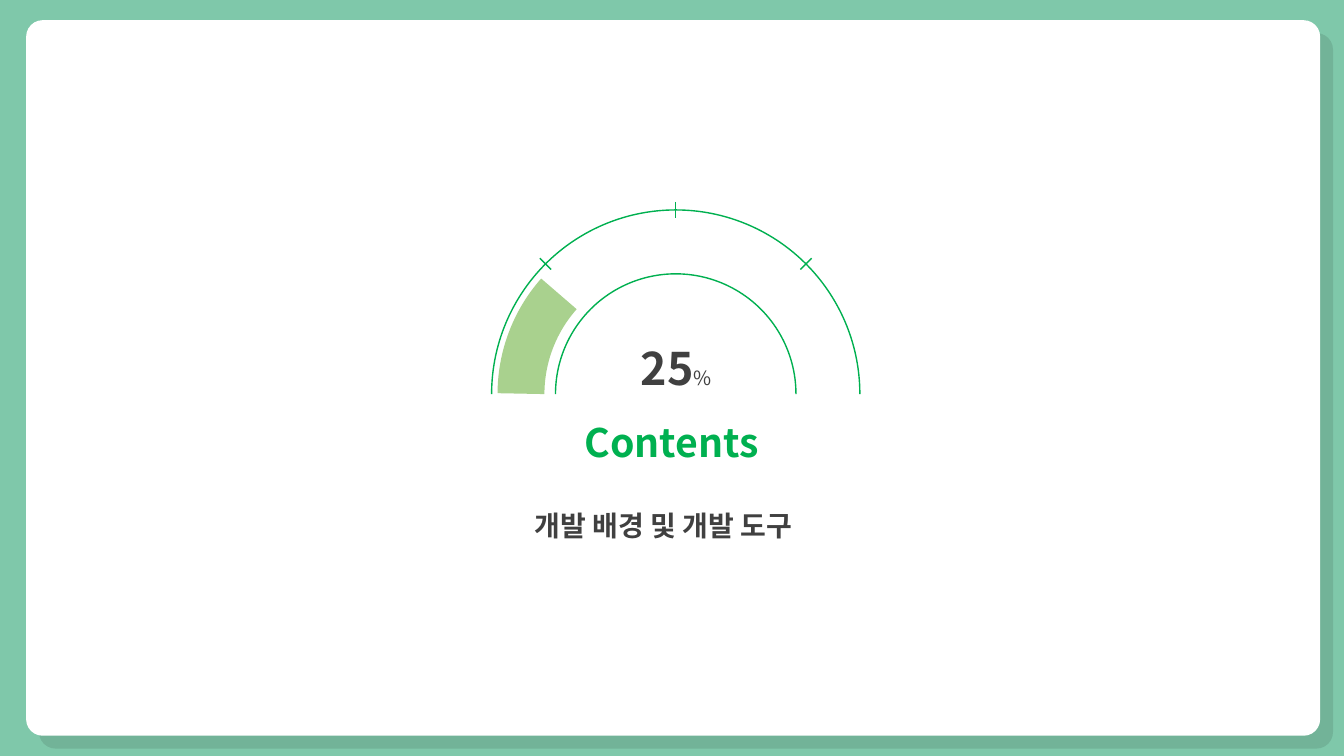
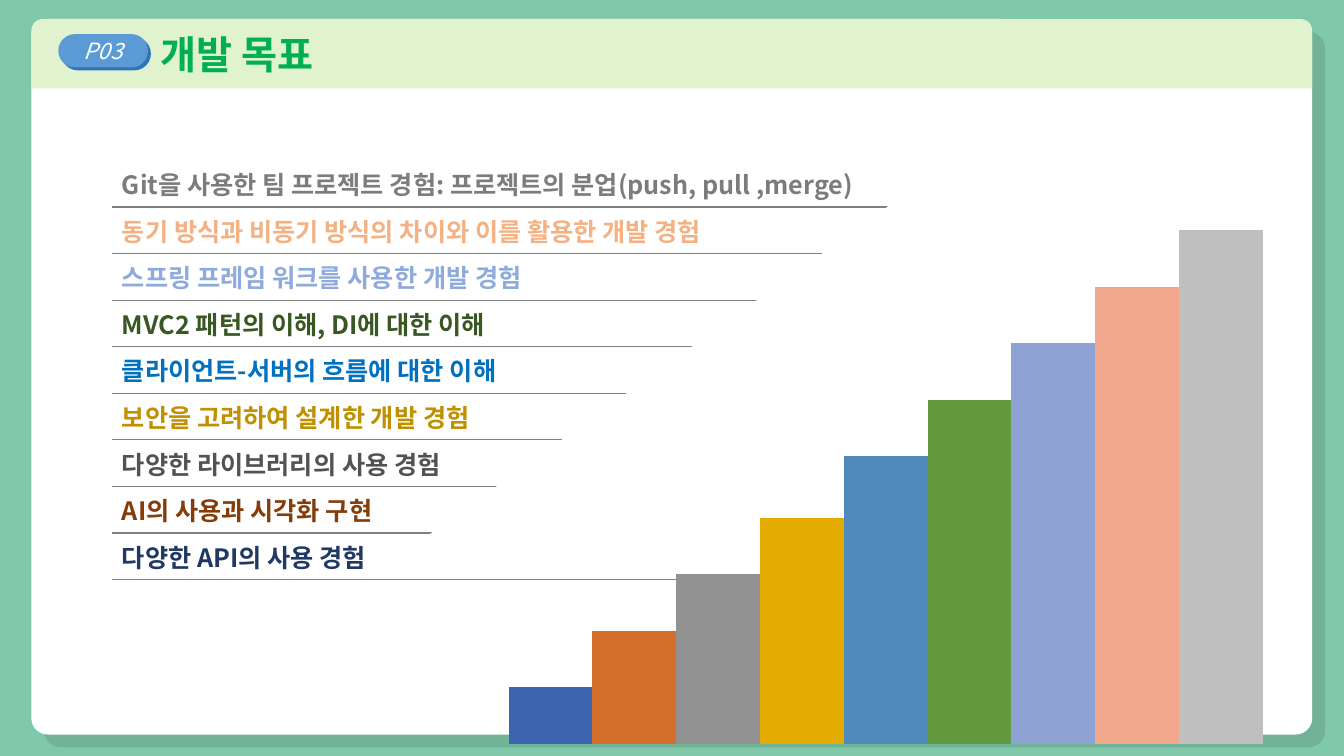
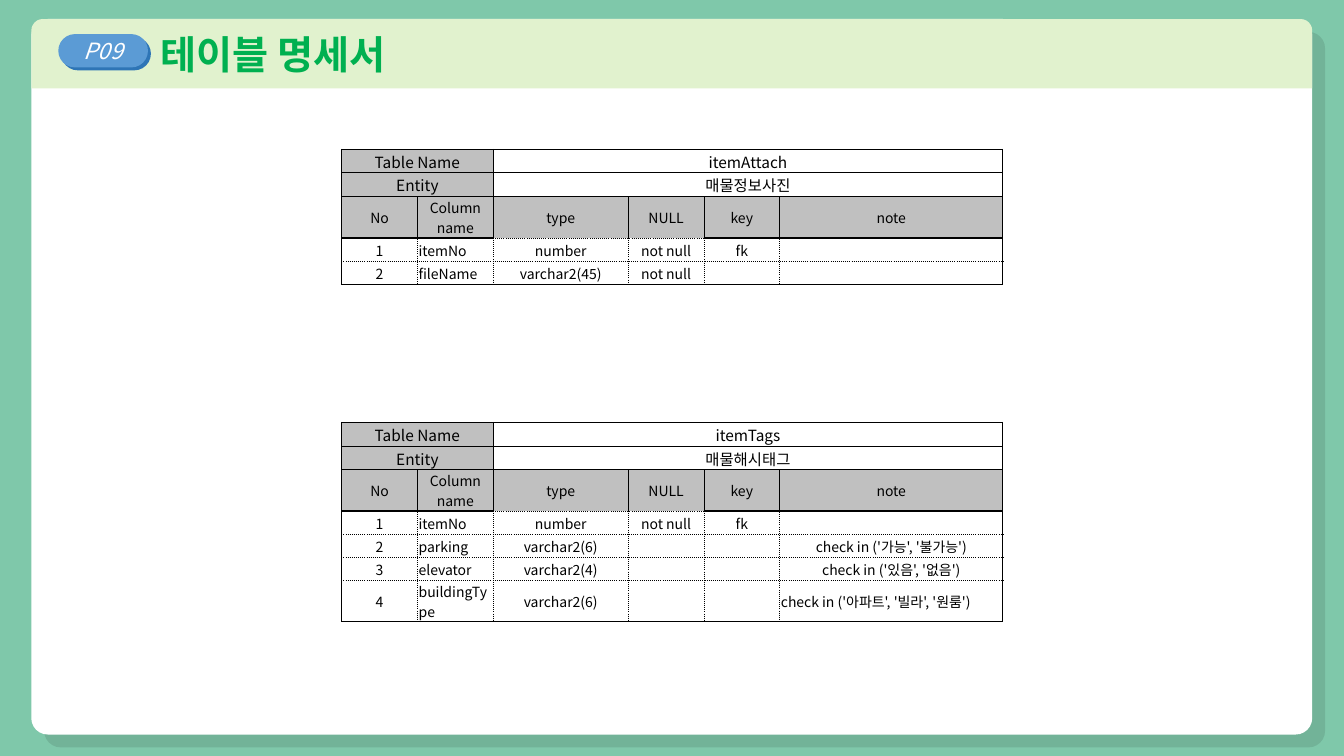
import math

from lxml import etree
from pptx import Presentation
from pptx import util as u
from pptx.chart.data import CategoryChartData
from pptx.dml.color import RGBColor
from pptx.enum import chart as ch, shapes, text
from pptx.oxml.ns import qn

FONT = "Noto Sans CJK KR"
COLORS = {
    "background": "7FC8AA", "card": "FFFFFF", "band": "E1F2CE",
    "title": "00B050", "body": "404040", "black": "000000",
    "pill": "5B9BD5", "pill_shadow": "2E75B6",
    "gauge": "00B050", "gauge_fill": "A9D18E",
    "rule": "808080", "header": "C0C0C0",
}
GOALS = [
    ("Git을 사용한 팀 프로젝트 경험: 프로젝트의 분업(push, pull ,merge)", "7C7C7C"),
    ("동기 방식과 비동기 방식의 차이와 이를 활용한 개발 경험", "F4B183"),
    ("스프링 프레임 워크를 사용한 개발 경험", "8FAADC"),
    ("MVC2 패턴의 이해, DI에 대한 이해", "385723"),
    ("클라이언트-서버의 흐름에 대한 이해", "0070C0"),
    ("보안을 고려하여 설계한 개발 경험", "BF9000"),
    ("다양한 라이브러리의 사용 경험", "525252"),
    ("AI의 사용과 시각화 구현", "843C0B"),
    ("다양한 API의 사용 경험", "203864"),
]
STEPS = [
    (11, "3D65AF"), (22, "D36F2B"), (33, "929292"),
    (44, "E3AB00"), (56, "508ABD"), (67, "639A3F"),
    (78, "8FA2D4"), (89, "F1A78C"), (100, "BFBFBF"),
]
COLUMN_HEADS = ["No", "Column name", "type", "NULL", "key", "note"]
COLUMN_WIDTHS = [1.91, 1.91, 3.4, 1.91, 1.91, 5.62]
ATTACH_ROWS = [
    ["1", "itemNo", "number", "not null", "fk", ""],
    ["2", "fileName", "varchar2(45)", "not null", "", ""],
]
TAG_ROWS = [
    ["1", "itemNo", "number", "not null", "fk", ""],
    ["2", "parking", "varchar2(6)", "", "", "check in ('가능', '불가능')"],
    ["3", "elevator", "varchar2(4)", "", "", "check in ('있음', '없음')"],
    ["4", "buildingType", "varchar2(6)", "", "", "check in ('아파트', '빌라', '원룸')"],
]
CARD = (0.79, 0.48, 32.28, 18.03)
BAND = (0.79, 0.48, 32.28, 1.75)
GAUGE_X, GAUGE_Y, GAUGE_R = 17.03, 9.93, 4.64
NO_STYLE_TABLE = "{2D5ABB26-0587-4C30-8999-92F81FD0307C}"
SOLID, DOTTED, THICK = (0.5, "solid"), (0.5, "sysDot"), (2, "solid")
LEFT, CENTER = text.PP_ALIGN.LEFT, text.PP_ALIGN.CENTER


# Shared helpers

def rgb(color):
    return RGBColor.from_string(COLORS.get(color, color))


def cm(*lengths):
    return [u.Cm(length) for length in lengths]


def set_font(font, size, color, bold=False, italic=False):
    font.size, font.bold, font.italic = u.Pt(size), bold, italic
    font.color.rgb = rgb(color)
    font.name = FONT
    etree.SubElement(font._rPr, qn("a:ea")).set("typeface", FONT)


def add_color(parent, color):
    fill = etree.SubElement(parent, qn("a:srgbClr"))
    fill.set("val", COLORS.get(color, color))
    return fill


def add_shape(slide, kind, box, fill=None, line=None, width=1, adjust=()):
    shape = slide.shapes.add_shape(kind, *cm(*box))
    shape.shadow.inherit = False
    for index, value in enumerate(adjust):
        shape.adjustments[index] = value
    if fill:
        shape.fill.solid()
        shape.fill.fore_color.rgb = rgb(fill)
    else:
        shape.fill.background()
    if line:
        shape.line.color.rgb = rgb(line)
        shape.line.width = u.Pt(width)
    else:
        shape.line.fill.background()
    return shape


def add_hard_shadow(shape, color, opacity, distance):
    effects = shape.element.spPr.find(qn("a:effectLst"))
    shadow = etree.SubElement(effects, qn("a:outerShdw"), blurRad="0",
                              dist=str(u.Pt(distance)), dir="2700000",
                              algn="tl", rotWithShape="0")
    etree.SubElement(add_color(shadow, color), qn("a:alpha"), val=str(opacity * 1000))


def add_card(slide, box):
    card = add_shape(slide, shapes.MSO_SHAPE.ROUNDED_RECTANGLE, box, "card",
                     adjust=[0.023])
    add_hard_shadow(card, "black", 10, 13)


def fill_placeholder(slide, holder, words, box, size, color, align, indent=0.25):
    """Place a text placeholder in front of the shapes drawn so far."""
    holder.left, holder.top, holder.width, holder.height = cm(*box)
    slide.shapes.element.append(holder.element)
    frame = holder.text_frame
    frame.text = words
    frame.auto_size = text.MSO_AUTO_SIZE.NONE
    frame.vertical_anchor = text.MSO_ANCHOR.MIDDLE
    frame.margin_left = u.Cm(indent)
    line = frame.paragraphs[0]
    line.alignment, line.space_before = align, u.Pt(0)
    set_font(line.font, size, color, bold=True)


def add_content_slide(prs, title, page):
    slide = prs.slides.add_slide(prs.slide_layouts[5])
    add_card(slide, CARD)
    add_shape(slide, shapes.MSO_SHAPE.ROUND_2_SAME_RECTANGLE, BAND, "band")
    fill_placeholder(slide, slide.shapes.title, title, BAND, 28, "title", LEFT, 3.25)
    # Page pill
    pill = add_shape(slide, shapes.MSO_SHAPE.ROUNDED_RECTANGLE,
                     (1.47, 0.86, 2.26, 0.84), "pill", adjust=[0.5])
    add_hard_shadow(pill, "pill_shadow", 100, 3)
    pill.text_frame.text = page
    pill.text_frame.vertical_anchor = text.MSO_ANCHOR.MIDDLE
    number = pill.text_frame.paragraphs[0]
    number.alignment = CENTER
    set_font(number.font, 16, "card", italic=True)
    return slide


# Gauge

def add_half_ring(slide, radius):
    ring = add_shape(slide, shapes.MSO_SHAPE.RIGHT_BRACKET,
                     (GAUGE_X - radius / 2, GAUGE_Y - 1.5 * radius, radius, 2 * radius),
                     line="gauge", adjust=[1.047])
    ring.rotation = 270


def add_tick(slide, degrees):
    across, up = math.cos(math.radians(degrees)), math.sin(math.radians(degrees))
    ends = []
    for radius in (GAUGE_R + 0.2, GAUGE_R - 0.2):
        ends += cm(GAUGE_X + radius * across, GAUGE_Y - radius * up)
    tick = slide.shapes.add_connector(shapes.MSO_CONNECTOR.STRAIGHT, *ends)
    tick.line.color.rgb = rgb("gauge")
    tick.line.width = u.Pt(1)
    etree.SubElement(tick.element.spPr, qn("a:effectLst"))


def add_percentage(slide, value):
    box = slide.shapes.add_textbox(*cm(15.32, 8.46, 3.45, 1.63))
    frame = box.text_frame
    frame.word_wrap = True
    frame.vertical_anchor = text.MSO_ANCHOR.MIDDLE
    line = frame.paragraphs[0]
    line.alignment = CENTER
    for words, size, bold in ((value, 32, True), ("%", 14, False)):
        run = line.add_run()
        run.text = words
        set_font(run.font, size, "body", bold)


# Tables

def add_plain_table(slide, left, top, widths, heights):
    frame = slide.shapes.add_table(len(heights), len(widths),
                                   *cm(left, top, sum(widths), sum(heights)))
    for style in frame.element.iter(qn("a:tableStyleId")):
        style.text = NO_STYLE_TABLE
    table = frame.table
    table.first_row = table.horz_banding = False
    for column, width in zip(table.columns, widths):
        column.width = u.Cm(width)
    for row, height in zip(table.rows, heights):
        row.height = u.Cm(height)
    return table


def fill_cell(cell, words, size, color, bold=False, align=LEFT, fill=None):
    cell.text = words
    line = cell.text_frame.paragraphs[0]
    line.alignment = align
    set_font(line.font, size, color, bold)
    if not words:
        etree.SubElement(line._p, qn("a:endParaRPr"), sz=str(size * 100))
    if fill:
        cell.fill.solid()
        cell.fill.fore_color.rgb = rgb(fill)
    else:
        cell.fill.background()


def set_borders(cell, color, **sides):
    """Draw the given sides, named L, R, T and B, as (width, dash)."""
    properties = cell._tc.get_or_add_tcPr()
    present = [side for side in "LRTB" if side in sides]
    for position, side in enumerate(present):
        width, dash = sides[side]
        line = etree.Element(qn("a:ln" + side), w=str(u.Pt(width)))
        add_color(etree.SubElement(line, qn("a:solidFill")), color)
        etree.SubElement(line, qn("a:prstDash"), val=dash)
        properties.insert(position, line)


def spec_borders(row, column, last_row):
    under_head = DOTTED if column in (2, 3) else THICK
    if row < 3:
        return dict(L=SOLID, R=SOLID, T=SOLID, B=under_head if row == 2 else SOLID)
    return dict(L=DOTTED if column else SOLID,
                R=SOLID if column == len(COLUMN_HEADS) - 1 else DOTTED,
                T=under_head if row == 3 else DOTTED,
                B=SOLID if row == last_row else DOTTED)


def add_spec_table(slide, top, name, entity, columns):
    rows = [["Table Name", "", name, "", "", ""],
            ["Entity", "", entity, "", "", ""], COLUMN_HEADS] + columns
    heights = [0.58, 0.58, 1.04] + [0.58] * len(columns)
    table = add_plain_table(slide, 8.61, top, COLUMN_WIDTHS, heights)
    for r, row in enumerate(rows):
        for c, words in enumerate(row):
            cell = table.cell(r, c)
            shaded = r == 2 or (r < 2 and c < 2)
            fill_cell(cell, words, 11 if r < 2 else 10, "black",
                      align=LEFT if r > 2 and c == 1 else CENTER,
                      fill="header" if shaded else None)
            cell.vertical_anchor = text.MSO_ANCHOR.MIDDLE
            cell.margin_left = cell.margin_right = cell.margin_top = u.Cm(0.03)
            cell.margin_bottom = 0
            set_borders(cell, "black", **spec_borders(r, c, len(rows) - 1))
    for r in (0, 1):
        table.cell(r, 0).merge(table.cell(r, 1))
        table.cell(r, 2).merge(table.cell(r, 5))
    return table


def add_goal_list(slide):
    table = add_plain_table(slide, 2.82, 4.04, [22.58], [1.04] * len(GOALS))
    for r, (goal, color) in enumerate(GOALS):
        cell = table.cell(r, 0)
        fill_cell(cell, goal, 18, color, bold=True)
        set_borders(cell, "rule", B=(1, "solid"))


# Chart

def add_step_chart(slide):
    data = CategoryChartData()
    data.categories = ["1"]
    for number, (value, _) in enumerate(STEPS, 1):
        data.add_series(f"Series {number}", [value])
    chart = slide.shapes.add_chart(ch.XL_CHART_TYPE.COLUMN_CLUSTERED,
                                   *cm(10.77, 3.99, 23.1, 15.06), data).chart
    chart.has_legend = chart.has_title = False
    chart.font.size, chart.font.name = u.Pt(18), FONT
    chart.font.color.rgb = rgb("black")
    chart.value_axis.minimum_scale, chart.value_axis.maximum_scale = 0, 100
    chart.value_axis.has_major_gridlines = False
    chart.value_axis.visible = chart.category_axis.visible = False
    plot = chart.plots[0]
    plot.vary_by_categories = False
    plot.gap_width, plot.overlap = 150, 0
    for series, (_, color) in zip(plot.series, STEPS):
        series.format.fill.solid()
        series.format.fill.fore_color.rgb = rgb(color)
    # Fixed plot area
    area = chart.element.chart.plotArea
    for layout in area.findall(qn("c:layout")):
        area.remove(layout)
    layout = etree.Element(qn("c:layout"))
    area.insert(0, layout)
    manual = etree.SubElement(layout, qn("c:manualLayout"))
    for key, value in (("layoutTarget", "inner"), ("xMode", "edge"), ("yMode", "edge"),
                       ("x", "0.02"), ("y", "0.12"), ("w", "0.96"), ("h", "0.86")):
        etree.SubElement(manual, qn("c:" + key), val=value)


# Slides

def build_contents(prs):
    slide = prs.slides.add_slide(prs.slide_layouts[0])
    add_card(slide, (0.66, 0.51, 32.61, 18.03))
    fill_placeholder(slide, slide.shapes.title, "Contents",
                     (11.35, 10.41, 11.15, 1.45), 28, "title", CENTER)
    fill_placeholder(slide, slide.placeholders[1], "개발 배경 및 개발 도구",
                     (11.96, 12.45, 9.53, 1.55), 20, "body", LEFT, 1.52)
    add_percentage(slide, "25")
    for radius in (GAUGE_R, 3.03):
        add_half_ring(slide, radius)
    for degrees in (90, 135, 45):
        add_tick(slide, degrees)
    add_shape(slide, shapes.MSO_SHAPE.ARC, (13.13, 6.12, 7.62, 7.62),
              line="gauge_fill", width=33.5, adjust=[108.09, 132.89])


def build_goals(prs):
    slide = add_content_slide(prs, "개발 목표", "P03")
    add_goal_list(slide)
    # Slanted cover that shortens the rules step by step
    cover = add_shape(slide, shapes.MSO_SHAPE.RIGHT_TRIANGLE,
                      (12.29, 0.15, 11.61, 16.23), "card")
    cover.rotation = 270
    add_step_chart(slide)


def build_table_specs(prs):
    slide = add_content_slide(prs, "테이블 명세서", "P09")
    add_spec_table(slide, 3.76, "itemAttach", "매물정보사진", ATTACH_ROWS)
    tags = add_spec_table(slide, 10.64, "itemTags", "매물해시태그", TAG_ROWS)
    tags.rows[6].height = u.Cm(1.04)
    tags.cell(6, 5).text_frame.paragraphs[0].alignment = LEFT


def main():
    prs = Presentation()
    prs.slide_width, prs.slide_height = cm(33.87, 19.05)
    backdrop = prs.slide_master.background.fill
    backdrop.solid()
    backdrop.fore_color.rgb = rgb("background")
    build_contents(prs)
    build_goals(prs)
    build_table_specs(prs)
    prs.save("out.pptx")


if __name__ == "__main__":
    main()
